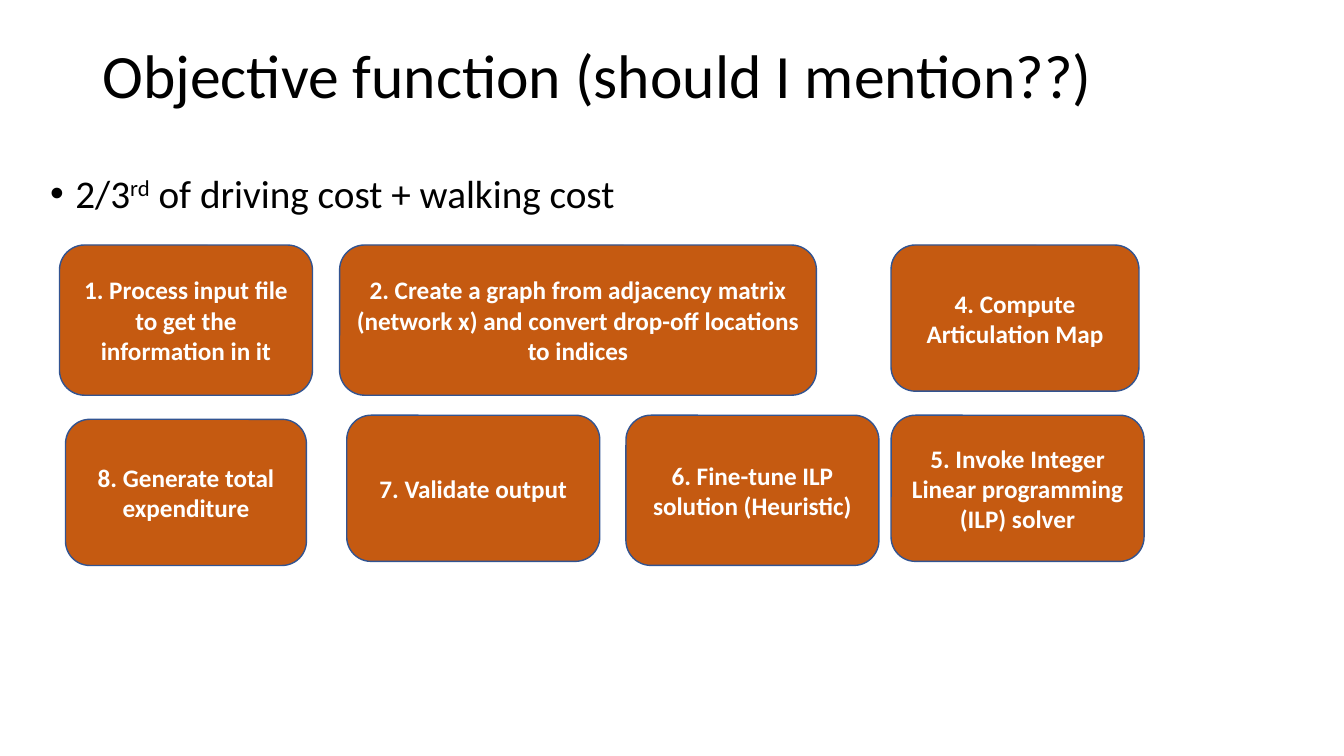
from dataclasses import dataclass

import pptx
import pptx.dml.color
import pptx.enum.shapes
import pptx.enum.text
import pptx.oxml
import pptx.oxml.ns
import pptx.util

Pt = pptx.util.Pt
Anchor = pptx.enum.text.MSO_ANCHOR
FONT = "Calibri"
COLORS = {"text": "000000", "fill": "C55A11", "line": "325491", "label": "FFFFFF"}
TALL, SHORT = 107.3, 104.4
WIDE = 180.7
TOP, LOW = 175, 296.6
DROP = TALL - SHORT  # short box set level with the foot of a tall one


@dataclass
class Step:
    label: str
    left: float
    top: float
    width: float = WIDE
    height: float = SHORT


STEPS = [
    Step("1. Process input file to get the information in it", 42.5, TOP, height=TALL),
    Step("2. Create a graph from adjacency matrix (network x) and convert "
         "drop-off locations to indices", 242.6, TOP, 340.6, TALL),
    Step("4. Compute Articulation Map", 636.5, TOP, 177.1),
    Step("5. Invoke Integer Linear programming (ILP) solver", 636.5, LOW),
    Step("7. Validate output", 247.7, LOW),
    Step("6. Fine-tune ILP solution (Heuristic)", 447.1, LOW, height=TALL),
    Step("8. Generate total expenditure", 46.8, LOW + DROP, 172.1),
]


def shade(name: str) -> pptx.dml.color.RGBColor:
    return pptx.dml.color.RGBColor.from_string(COLORS[name])


def style(para, size: float, color: str, bold: bool = False) -> None:
    para.font.name = FONT
    para.font.size = Pt(size)
    para.font.bold = bold
    para.font.color.rgb = shade(color)


def add_text(slide, left: float, top: float, width: float, height: float, size: float):
    frame = slide.shapes.add_textbox(Pt(left), Pt(top), Pt(width), Pt(height)).text_frame
    frame.word_wrap = True
    frame.vertical_anchor = Anchor.TOP
    para = frame.paragraphs[0]
    para.line_spacing = 0.9
    style(para, size, "text")
    return para


def add_bullet(para, indent: float) -> None:
    props = para._p.get_or_add_pPr()
    props.set("marL", str(Pt(indent)))
    props.set("indent", str(-Pt(indent)))
    space = pptx.oxml.ns.nsdecls("a")
    marks = [f'<a:buFont {space} typeface="Arial"/>', f'<a:buChar {space} char="•"/>']
    for mark in marks:
        props.insert_element_before(pptx.oxml.parse_xml(mark), "a:tabLst", "a:defRPr", "a:extLst")


def add_step(slide, step: Step) -> None:
    box = slide.shapes.add_shape(
        pptx.enum.shapes.MSO_SHAPE.ROUNDED_RECTANGLE,
        Pt(step.left), Pt(step.top), Pt(step.width), Pt(step.height))
    box.shadow.inherit = False
    box.fill.solid()
    box.fill.fore_color.rgb = shade("fill")
    box.line.color.rgb = shade("line")
    box.line.width = Pt(1)
    frame = box.text_frame
    frame.word_wrap = True
    frame.vertical_anchor = Anchor.MIDDLE
    para = frame.paragraphs[0]
    para.text = step.label
    para.alignment = pptx.enum.text.PP_ALIGN.CENTER
    style(para, 18, "label", bold=True)


def main() -> None:
    deck = pptx.Presentation()
    deck.slide_width, deck.slide_height = Pt(960), Pt(540)
    slide = deck.slides.add_slide(deck.slide_layouts[6])

    # Title
    title = add_text(slide, 66, 28.8, 828, 104.4, 44)
    title.add_run().text = "Objective function (should I mention??)"

    # Cost formula
    cost = add_text(slide, 28.8, 121, 828, 342.7, 28)
    cost.space_before = Pt(10)
    add_bullet(cost, 18)
    cost.add_run().text = "2/3"
    power = cost.add_run()
    power.text = "rd"
    power.font._element.set("baseline", "30000")
    cost.add_run().text = " of driving cost + walking cost"

    # Process steps
    for step in STEPS:
        add_step(slide, step)

    deck.save("out.pptx")


if __name__ == "__main__":
    main()
